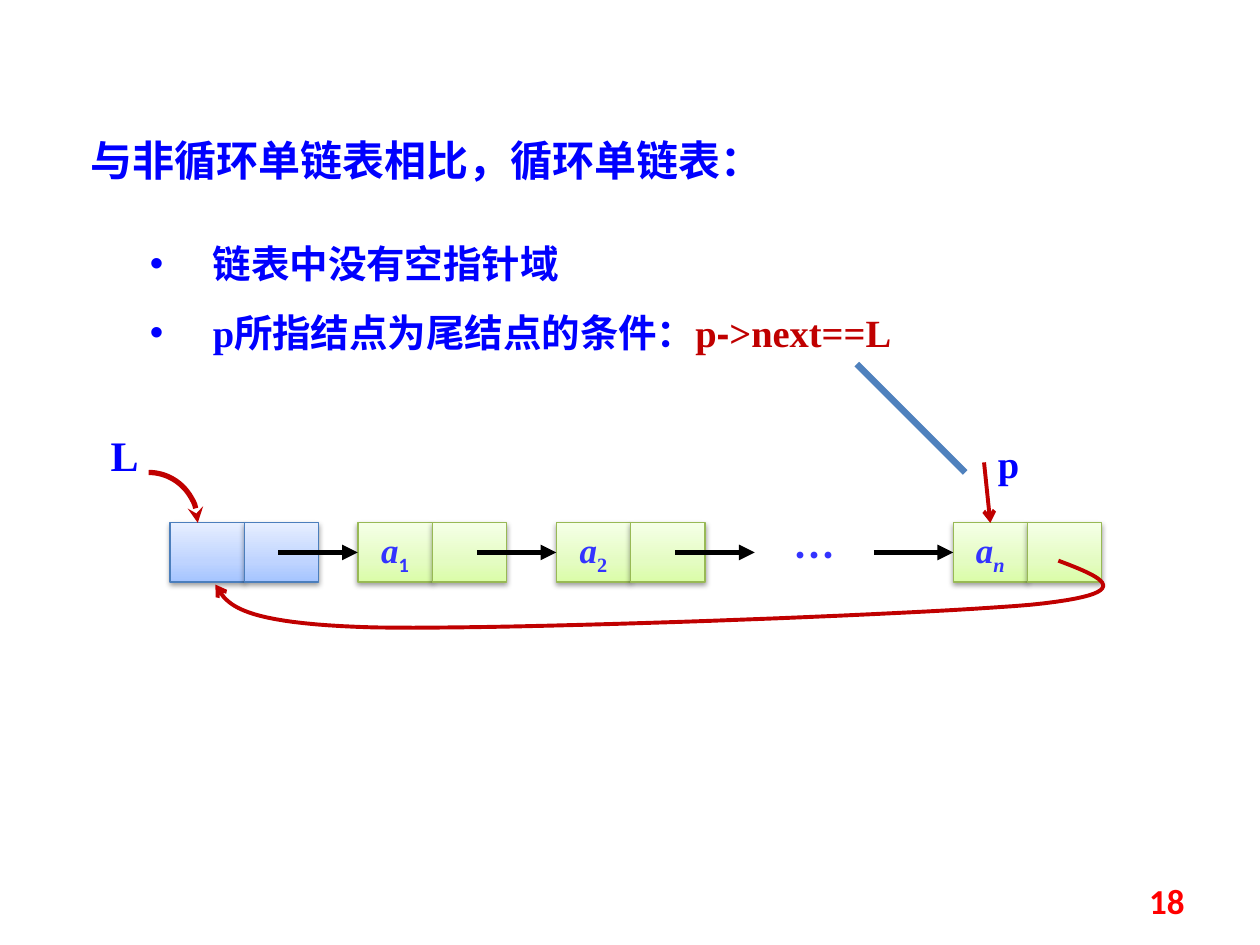
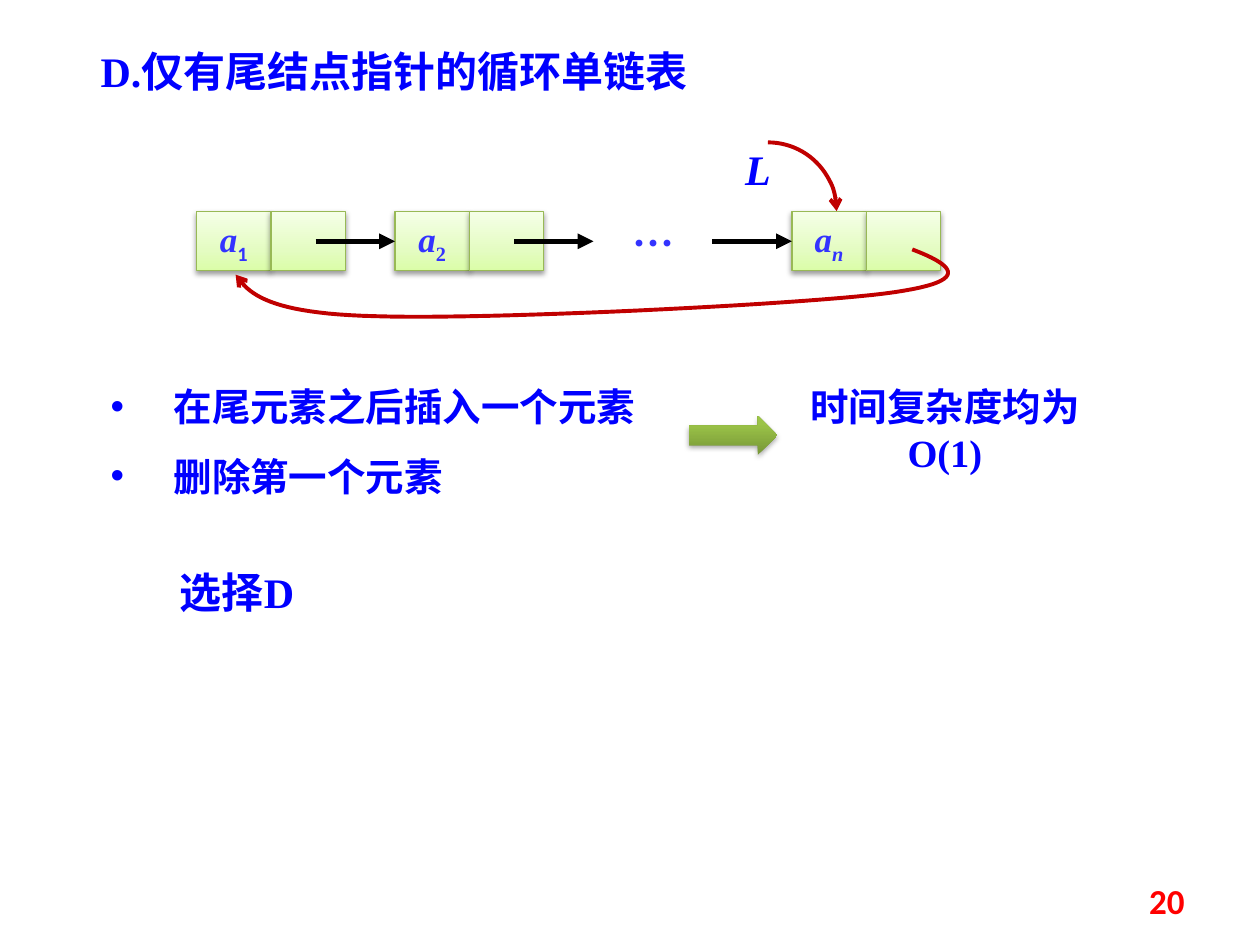
from lxml.etree import SubElement
from pptx import Presentation
from pptx.dml.color import RGBColor
from pptx.enum.shapes import MSO_CONNECTOR, MSO_SHAPE
from pptx.enum.text import MSO_ANCHOR, PP_ALIGN
from pptx.oxml.ns import qn
from pptx.util import Inches, Pt

COLORS = {
    "text": "0000FF", "node": "3333FF", "red": "C00000", "number": "FF0000",
    "black": "000000", "blue": "4F81BD", "head_line": "4B7EBC", "node_line": "98B955",
}
HEAD_FILL = [(0, "A4C4FF"), (35, "BFD4FF"), (100, "E6EEFF")]
NODE_FILL = [(0, "DAFDA7"), (35, "E4FCC2"), (100, "F5FFE7")]
ARROW_FILL = [(0, "779737"), (80, "9BC348"), (100, "9DC746")]
SERIF, SANS, CJK = "Times New Roman", "Calibri", "Noto Sans CJK SC"
CELL_W, CELL_H, PITCH = 0.59, 0.47, 1.575


def rgb(name):
    return RGBColor.from_string(COLORS[name])


def add_xml(parent, tag, **attrs):
    return SubElement(parent, qn(tag), {k: str(v) for k, v in attrs.items()})


def bezier_points(start, curves, steps=24):
    points = [start]
    for c1, c2, end in curves:
        p0 = points[-1]
        for i in range(1, steps + 1):
            t = i / steps
            u = 1 - t
            points.append(tuple(
                u**3 * a + 3 * u * u * t * b + 3 * u * t * t * c + t**3 * d
                for a, b, c, d in zip(p0, c1, c2, end)))
    return points


class Deck:
    def __init__(self):
        self.prs = Presentation()
        self.prs.slide_width, self.prs.slide_height = Inches(10), Inches(7.5)
        self.s = None

    def slide(self, number):
        self.s = self.prs.slides.add_slide(self.prs.slide_layouts[6])
        self.text((7.17, 6.95, 2.33, 0.4), [str(number)], 20, SANS, "number",
                  PP_ALIGN.RIGHT, anchor=MSO_ANCHOR.MIDDLE)

    def paragraph(self, p, runs, size, font, color, align=None, italic=None):
        p.alignment = align
        f = p.font
        f.size, f.bold, f.italic, f.name = Pt(size), True, italic, font
        f.color.rgb = rgb(color)
        add_xml(f._element, "a:ea", typeface=CJK)
        for text, style in [(runs, {})] if isinstance(runs, str) else runs:
            r = p.add_run()
            r.text = text
            if "font" in style:
                r.font.name = style["font"]
            if "color" in style:
                r.font.color.rgb = rgb(style["color"])
            if "italic" in style:
                r.font.italic = style["italic"]
            if style.get("sub"):
                r.font._element.set("baseline", "-25000")

    def text(self, box, paragraphs, size=24, font=SERIF, color="text", align=None,
             italic=None, bullets=False, anchor=MSO_ANCHOR.TOP):
        tf = self.s.shapes.add_textbox(*map(Inches, box)).text_frame
        tf.word_wrap, tf.vertical_anchor = True, anchor
        for i, runs in enumerate(paragraphs):
            p = tf.add_paragraph() if i else tf.paragraphs[0]
            if bullets:
                p.line_spacing = 1.5
                pPr = p._p.get_or_add_pPr()
                pPr.set("marL", str(Inches(0.5)))
                pPr.set("indent", str(-Inches(0.5)))
                add_xml(pPr, "a:buFont", typeface="Arial")
                add_xml(pPr, "a:buChar", char="•")
            self.paragraph(p, runs, size, font, color, align, italic)

    def bullets(self, box, paragraphs):
        self.text(box, paragraphs, 22, bullets=True)

    def gradient_shape(self, kind, box, stops, line=None, alpha=38):
        sp = self.s.shapes.add_shape(kind, *map(Inches, box))
        sp.fill.gradient()
        sp.fill.gradient_angle = 90
        spPr = sp._element.spPr
        gs_list = spPr.find(".//" + qn("a:gsLst"))
        for gs in list(gs_list):
            gs_list.remove(gs)
        for pos, color in stops:
            add_xml(add_xml(gs_list, "a:gs", pos=pos * 1000), "a:srgbClr", val=color)
        if line:
            sp.line.color.rgb, sp.line.width = rgb(line), Pt(0.75)
        else:
            sp.line.fill.background()
        sp.shadow.inherit = False
        shadow = add_xml(spPr.find(qn("a:effectLst")), "a:outerShdw", blurRad=Pt(3.1),
                         dist=Pt(1.6), dir=5400000, rotWithShape=0)
        color = add_xml(shadow, "a:srgbClr", val=COLORS["black"])
        add_xml(color, "a:alpha", val=alpha * 1000)
        return sp

    def node(self, x, y, runs=None, fill=NODE_FILL, line="node_line"):
        for i in range(2):
            sp = self.gradient_shape(MSO_SHAPE.RECTANGLE,
                                     (x + i * CELL_W, y, CELL_W, CELL_H), fill, line)
            if runs and i == 0:
                tf = sp.text_frame
                tf.word_wrap, tf.vertical_anchor = False, MSO_ANCHOR.MIDDLE
                self.paragraph(tf.paragraphs[0], runs, 20, SERIF, "node",
                               PP_ALIGN.CENTER, True)

    def stroke(self, sp, color, width, head):
        sp.line.color.rgb, sp.line.width = rgb(color), Pt(width)
        if head:
            add_xml(sp.line._get_or_add_ln(), "a:tailEnd", type=head)

    def line(self, start, end, color, width, head=None):
        sp = self.s.shapes.add_connector(MSO_CONNECTOR.STRAIGHT,
                                         *map(Inches, (*start, *end)))
        self.stroke(sp, color, width, head)
        add_xml(sp._element.spPr, "a:effectLst")

    def arc(self, box, width, head):
        sp = self.s.shapes.add_shape(MSO_SHAPE.ARC, *map(Inches, box))
        sp.fill.background()
        self.stroke(sp, "red", width, head)
        sp.shadow.inherit = False

    def curve(self, start, curves):
        points = [tuple(map(Inches, pt)) for pt in bezier_points(start, curves)]
        builder = self.s.shapes.build_freeform(*points[0])
        builder.add_line_segments(points[1:], close=False)
        sp = builder.convert_to_shape()
        sp.fill.background()
        self.stroke(sp, "red", 2.25, "arrow")
        sp.shadow.inherit = False

    def chain(self, x, y, first_link):
        subscripts = [(0, "1", {"font": SANS, "italic": False}),
                      (1, "2", {"italic": False}), (3, "n", {})]
        for slot, sub, style in subscripts:
            self.node(x + slot * PITCH, y, [("a", {}), (sub, {"sub": True, **style})])
        self.text((x + 3.31, y, 0.63, 0.5), ["…"], font=CJK, color="node",
                  align=PP_ALIGN.CENTER)
        mid = y + CELL_H / 2
        for slot in range(first_link, 4):
            end = x + slot * PITCH
            self.line((end - 0.63, mid), (end, mid), "black", 3, "triangle")


def comparison_slide(d):
    d.slide(18)
    d.bullets((1.09, 1.67, 6.95, 1.21), [
        "链表中没有空指针域",
        [("p所指结点为尾结点的条件：", {}), ("p", {"color": "red"}),
         ("-", {"color": "red", "font": "Arial"}), (">next==L", {"color": "red"})]])
    d.text((0.62, 1.02, 6.64, 0.5), ["与非循环单链表相比，循环单链表："], font=CJK)
    d.node(1.35, 4.15, fill=HEAD_FILL, line="head_line")
    d.chain(2.84, 4.15, first_link=0)
    d.arc((0.79, 3.75, 0.78, 0.8), 3, "stealth")
    d.text((0.78, 3.36, 0.47, 0.5), ["L"])
    d.curve((8.4, 4.45), [((8.74, 4.58), (9.08, 4.71), (8.18, 4.8)),
                          ((7.27, 4.88), (4.05, 5), (2.97, 4.98)),
                          ((1.89, 4.95), (1.8, 4.8), (1.71, 4.64))])
    d.line((7.81, 3.67), (7.86, 4.15), "red", 2.25, "arrow")
    d.text((7.81, 3.44, 0.39, 0.47), ["p"], 22, align=PP_ALIGN.CENTER)
    d.line((6.8, 2.89), (7.66, 3.75), "blue", 3.75)


def tail_pointer_slide(d):
    d.slide(20)
    d.text((0.7, 0.31, 5, 0.5), ["D.仅有尾结点指针的循环单链表"])
    d.arc((5.55, 1.13, 1.09, 1.09), 2.25, "arrow")
    d.chain(1.56, 1.68, first_link=1)
    d.curve((7.24, 1.98), [((7.58, 2.11), (7.73, 2.24), (7.02, 2.33)),
                           ((6.31, 2.42), (3.84, 2.54), (2.98, 2.51)),
                           ((2.13, 2.49), (1.97, 2.33), (1.87, 2.18))])
    d.text((5.78, 1.09, 0.47, 0.5), ["L"], align=PP_ALIGN.CENTER, italic=True)
    d.bullets((0.78, 2.81, 4.92, 1.14), ["在尾元素之后插入一个元素", "删除第一个元素"])
    d.gradient_shape(MSO_SHAPE.RIGHT_ARROW, (5.47, 3.3, 0.7, 0.31), ARROW_FILL, alpha=35)
    d.text((6.33, 2.99, 2.34, 0.84), ["时间复杂度均为O(1)"], 22, align=PP_ALIGN.CENTER)
    d.text((1.33, 4.45, 1.72, 0.5), ["选择D"])


def main():
    d = Deck()
    comparison_slide(d)
    tail_pointer_slide(d)
    d.prs.save("out.pptx")


if __name__ == "__main__":
    main()
